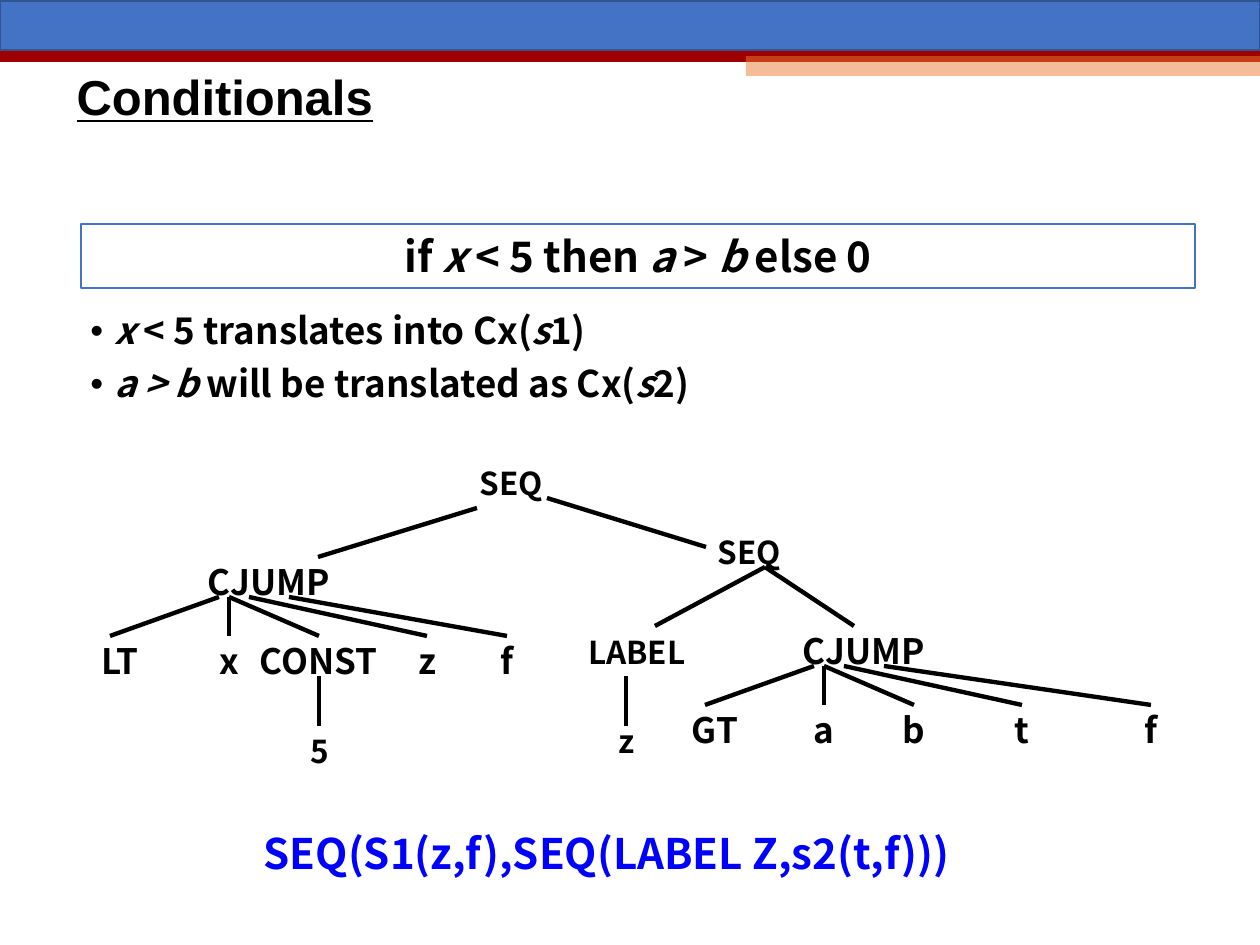
"""Build the slide on translating conditionals into trees."""
from lxml import etree
from pptx import Presentation, util as u
from pptx.dml.color import RGBColor
from pptx.enum import shapes, text
from pptx.oxml.ns import qn

THEME = dict(
    font="Noto Sans CJK SC", head="Arial", ink="000000", paper="FFFFFF",
    blue="4472C4", edge="325491", red="9E0000", peach="ED7D31", code="0000FF",
    title=28, big=24, item=21, node=20, small=18, rule=7.5, branch=2.5)
PX = u.Inches(1) / 126

TITLE = ("Conditionals", (64, 59, 1086, 82))
RULE = (0, 55, 1260, 55)
BAND = (746, 56, 514, 20)
BAR = (0, 1, 1260, 49)
EXPR = ("if _x_ < 5 then _a_ > _b_ else 0", (81, 224, 1114, 64))
ITEMS = (["_x_ < 5 translates into Cx(_s_1)",
          "_a > b_ will be translated as Cx(_s_2)"], (78, 307, 1134, 169))
RESULT = ("SEQ(S1(z,f),SEQ(LABEL Z,s2(t,f)))", (61, 821, 1091, 63))
JUMPS = [
    ((814, 626), [("GT", -99), ("a", 10), ("b", 100), ("t", 208), ("f", 337)]),
    ((219, 557), [("LT", -99), ("x", 10), ("CONST", 100), ("z", 208), ("f", 288)]),
]
STARTS = [0, 10, 10, 30, 70]
LABELS = [
    ("SEQ", (467, 458, 100, 50)),
    ("SEQ", (705, 527, 100, 50)),
    ("LABEL", (576, 627, 139, 50)),
    ("z", (606, 716, 42, 50)),
]
FIVE = ("5", (298, 726, 42, 50))
EDGES = [
    (477, 508, 318, 557), (547, 498, 706, 547),
    (765, 567, 854, 626), (765, 567, 655, 626),
    (626, 676, 626, 726),
]
STEM = (319, 676, 319, 726)


def emu(vals):
    return [u.Emu(round(v * PX)) for v in vals]


def rgb(name):
    return RGBColor.from_string(THEME[name])


def apply(obj, vals):
    for key, val in vals.items():
        setattr(obj, key, val)


def write(para, words, size, ink="ink", font="font", **fmt):
    for num, part in enumerate(words.split("_")):
        if part:
            run = para.add_run()
            run.text = part
            look = dict(name=THEME[font], size=u.Pt(THEME[size]), bold=True)
            apply(run.font, look | fmt)
            if num % 2:
                run.font.italic = True
            run.font.color.rgb = rgb(ink)


def fill(shape, words, size, ink="ink", align=text.PP_ALIGN.CENTER,
         wrap=True, anchor=text.MSO_ANCHOR.TOP):
    frame = shape.text_frame
    apply(frame, dict(word_wrap=wrap, vertical_anchor=anchor))
    para = frame.paragraphs[0]
    para.alignment = align
    write(para, words, size, ink)
    return shape


def label(slide, words, box, size, **fmt):
    return fill(slide.shapes.add_textbox(*emu(box)), words, size, **fmt)


def rect(slide, box, tint=None, edge=None):
    shape = slide.shapes.add_shape(shapes.MSO_SHAPE.RECTANGLE, *emu(box))
    shape.shadow.inherit = False
    if tint:
        shape.fill.solid()
        shape.fill.fore_color.rgb = rgb(tint)
    else:
        shape.fill.background()
    if edge:
        shape.line.color.rgb = rgb(edge)
        shape.line.width = u.Pt(1)
    else:
        shape.line.fill.background()
    return shape


def node(slide, words, box):
    return fill(rect(slide, box), words, "node", wrap=False,
                anchor=text.MSO_ANCHOR.MIDDLE)


def line(slide, ends, ink="ink", width="branch", to=None):
    link = slide.shapes.add_connector(shapes.MSO_CONNECTOR.STRAIGHT, *emu(ends))
    link.line.color.rgb = rgb(ink)
    link.line.width = u.Pt(THEME[width])
    etree.SubElement(link._element.spPr, qn("a:effectLst"))
    if to is not None:
        link.end_connect(to, 0)


def jump(slide, spot, leaves):
    left, top = spot
    node(slide, "CJUMP", (left, top, 100, 49))
    for start, (word, off) in zip(STARTS, leaves):
        leaf = node(slide, word, (left + off - 30, top + 79, 60, 49))
        first = off < 0
        end = left + off - (10 if first else 0)
        line(slide, (left + start, top + 40, end, top + 79),
             to=None if first else leaf)


def bullets(slide, items, box):
    frame = slide.shapes.add_textbox(*emu(box)).text_frame
    frame.word_wrap = True
    for num, words in enumerate(items):
        para = frame.add_paragraph() if num else frame.paragraphs[0]
        props = para._p.get_or_add_pPr()
        props.set("marL", str(emu([24])[0]))
        props.set("indent", str(emu([-24])[0]))
        etree.SubElement(props, qn("a:buFont"), typeface="Arial")
        etree.SubElement(props, qn("a:buChar"), char="•")
        para.line_spacing = 0.9
        if num:
            para.space_before = u.Pt(7.5)
        write(para, words, "item")


def title(slide, words, box):
    shape = slide.shapes.title
    apply(shape, dict(zip(("left", "top", "width", "height"), emu(box))))
    frame = shape.text_frame
    apply(frame, dict(vertical_anchor=text.MSO_ANCHOR.MIDDLE, word_wrap=True,
                      auto_size=text.MSO_AUTO_SIZE.NONE))
    para = frame.paragraphs[0]
    apply(para, dict(alignment=text.PP_ALIGN.LEFT, line_spacing=0.9))
    write(para, words, "title", font="head", underline=True)


def main():
    deck = Presentation()
    deck.slide_width, deck.slide_height = emu((1260, 945))
    slide = deck.slides.add_slide(deck.slide_layouts[5])
    title(slide, *TITLE)
    line(slide, RULE, "red", "rule")
    band = rect(slide, BAND, "peach")
    tone = band._element.spPr.find(".//" + qn("a:srgbClr"))
    etree.SubElement(tone, qn("a:alpha"), val="50000")
    rect(slide, BAR, "blue", "edge")
    bullets(slide, *ITEMS)
    words, box = EXPR
    fill(rect(slide, box, "paper", "blue"), words, "big")
    label(slide, *RESULT, "big", ink="code")
    for spot, leaves in JUMPS:
        jump(slide, spot, leaves)
    left = text.PP_ALIGN.LEFT
    for words, box in LABELS:
        label(slide, words, box, "small", align=left)
    line(slide, STEM, to=label(slide, *FIVE, "small", align=left))
    for ends in EDGES:
        line(slide, ends)
    deck.save("out.pptx")


if __name__ == "__main__":
    main()
